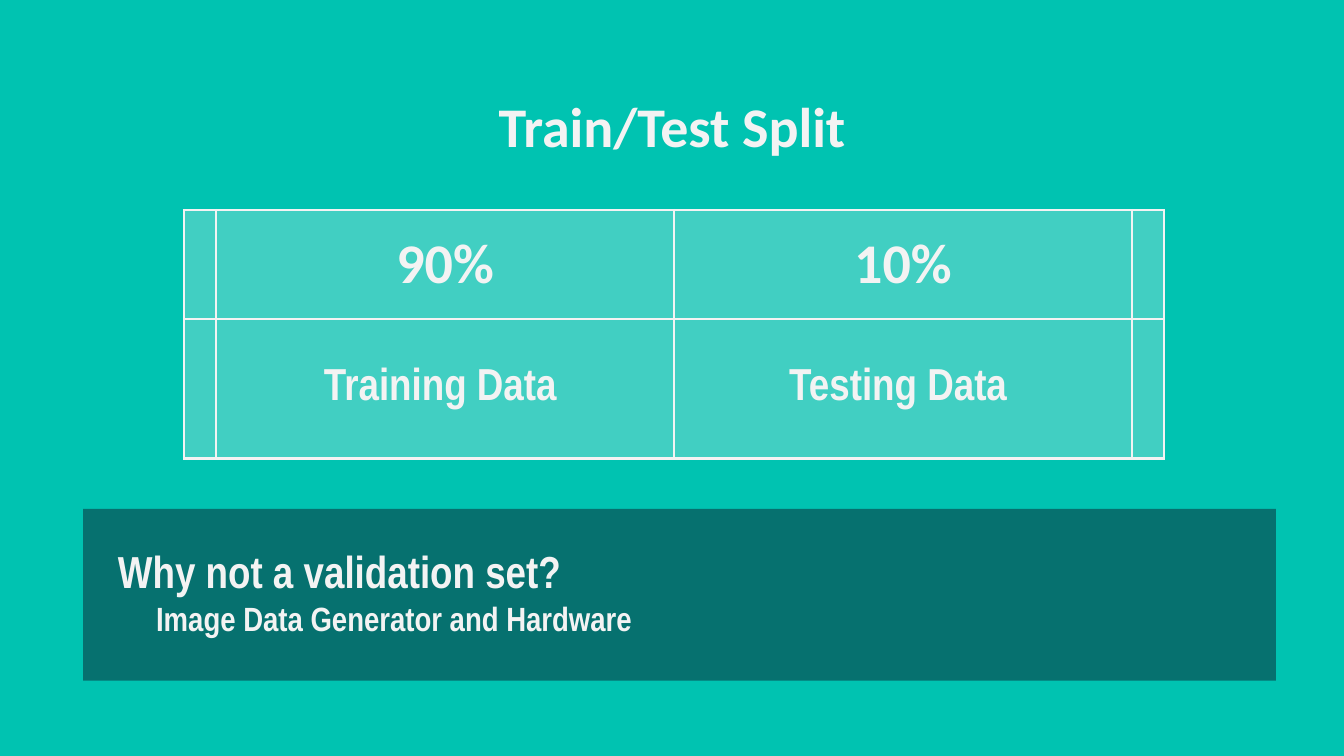
from lxml import etree
from pptx import Presentation
from pptx.dml.color import RGBColor
from pptx.enum.shapes import MSO_SHAPE
from pptx.enum.text import MSO_ANCHOR, PP_ALIGN
from pptx.oxml.ns import qn
from pptx.util import Pt

RECT = MSO_SHAPE.RECTANGLE
TOP, MIDDLE = MSO_ANCHOR.TOP, MSO_ANCHOR.MIDDLE
LEFT, CENTER = PP_ALIGN.LEFT, PP_ALIGN.CENTER

THEME = {
    "back": "00C3B1", "light": "F3F3F3", "dark": "0C343D",
    "head": ("Calibri", 30), "label": ("Arial Narrow", 24),
    "note": ("Arial Narrow", 18),
}


def style(par, kind, align):
    name, size = THEME[kind]
    par.alignment = align
    font = par.font
    font.name, font.size, font.bold = name, Pt(size), True
    font.color.rgb = RGBColor.from_string(THEME["light"])


def paint(fill, color, alpha=100):
    fill.solid()
    fill.fore_color.rgb = RGBColor.from_string(THEME[color])
    if alpha < 100:
        for node in fill._xPr.iter(qn("a:srgbClr")):
            etree.SubElement(node, qn("a:alpha"), val=str(alpha * 1000))


deck = Presentation()
deck.slide_width, deck.slide_height = Pt(720), Pt(405)
slide = deck.slides.add_slide(deck.slide_layouts[5])
paint(slide.background.fill, "back")

# Title
title = slide.shapes.title
title.left, title.top, title.width, title.height = Pt(56.6), Pt(40.5), Pt(607), Pt(45)
frame = title.text_frame
frame.text = "Train/Test Split"
frame.vertical_anchor = TOP
frame.margin_top = Pt(8.5)
style(frame.paragraphs[0], "head", CENTER)

# Split table with narrow outer columns
rows = [("head", 58.3, ["", "90%", "10%", ""]),
        ("label", 74.9, ["", "Training Data", "Testing Data", ""])]
widths = [16.8, 245.3, 245.3, 16.8]
table = slide.shapes.add_table(2, 4, Pt(98.6), Pt(112.5), Pt(sum(widths)), Pt(133.2)).table
for col, width in zip(table.columns, widths):
    col.width = Pt(width)
for row, (kind, height, words) in zip(table.rows, rows):
    row.height = Pt(height)
    for cell, word in zip(row.cells, words):
        cell.text = word
        cell.vertical_anchor = MIDDLE
        cell.margin_left = cell.margin_right = Pt(7.2)
        cell.margin_top = cell.margin_bottom = Pt(7.2)
        if word and kind == "label":
            cell.margin_right = Pt(12.5)
        style(cell.text_frame.paragraphs[0], kind, CENTER)
        props = cell._tc.get_or_add_tcPr()
        for side in ("lnL", "lnR", "lnT", "lnB"):
            line = etree.SubElement(props, qn("a:" + side), w=str(Pt(1.5)))
            solid = etree.SubElement(line, qn("a:solidFill"))
            etree.SubElement(solid, qn("a:srgbClr"), val=THEME["light"])
        paint(cell.fill, "light", 27)

# Question panel
panel = slide.shapes.add_shape(RECT, Pt(44.5), Pt(272.7), Pt(639), Pt(92))
panel.shadow.inherit = False
panel.line.fill.background()
paint(panel.fill, "dark", 57)
frame = panel.text_frame
frame.word_wrap = True
frame.vertical_anchor = TOP
frame.margin_left = frame.margin_top = frame.margin_right = Pt(18.7)
frame.margin_bottom = Pt(7.2)
frame.text = "Why not a validation set?\nImage Data Generator and Hardware"
for par, kind in zip(frame.paragraphs, ("label", "note")):
    style(par, kind, LEFT)
frame.paragraphs[1]._p.get_or_add_pPr().set("marL", str(Pt(20.4)))

deck.save("out.pptx")
